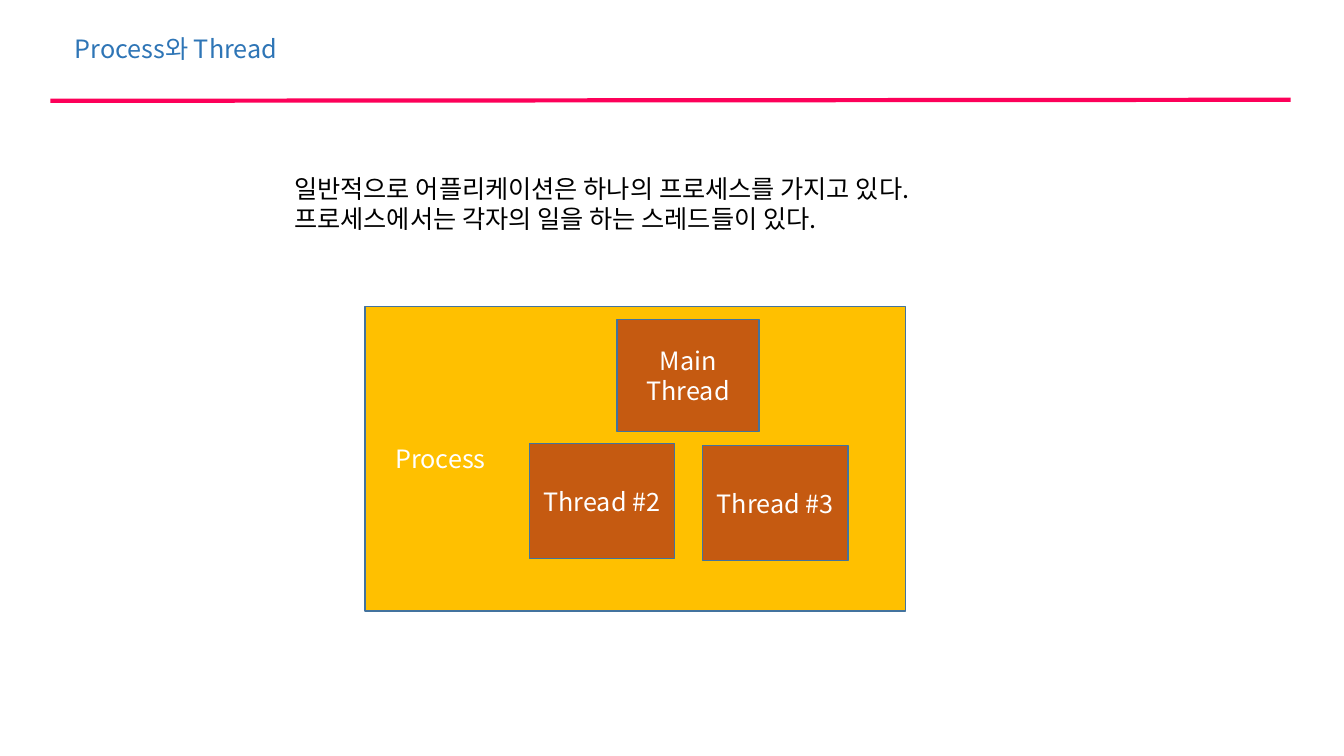
"""Build a slide that explains a process and the threads inside it."""
from lxml.etree import SubElement
from pptx import Presentation
from pptx.dml.color import RGBColor
from pptx.enum.shapes import MSO_CONNECTOR, MSO_SHAPE
from pptx.enum.text import MSO_ANCHOR, MSO_AUTO_SIZE, PP_ALIGN
from pptx.oxml.ns import qn
from pptx.util import Pt

PX = 9144
FONT = "Noto Sans CJK KR"
BLUE, PINK, BLACK, WHITE = "2E75B6", "FD0059", "000000", "FFFFFF"
GOLD, ORANGE, OUTLINE = "FFC000", "C55A11", "43739E"

HEADING = ("Process와 Thread", (64, 28, 897, 40))
EXPLANATION = (
    ["일반적으로 어플리케이션은 하나의 프로세스를 가지고 있다.",
     "프로세스에서는 각자의 일을 하는 스레드들이 있다."],
    (282, 167, 917, 71),
)
RULE = (50, 100, 1280, 99)
PROCESS = ("Process", (362, 304, 536, 302))
THREADS = [
    ("Main Thread", (612, 317, 141, 111)),
    ("Thread #2", (525, 440, 144, 114)),
    ("Thread #3", (697, 442, 144, 114)),
]


def px(*lengths):
    return [length * PX for length in lengths]


def color(value):
    return RGBColor.from_string(value)


def write(shape, lines, ink=BLACK, align=PP_ALIGN.LEFT, anchor=MSO_ANCHOR.TOP, left=10):
    frame = shape.text_frame
    frame.text = "\n".join(lines)
    frame.word_wrap = True
    frame.auto_size = MSO_AUTO_SIZE.NONE
    frame.vertical_anchor = anchor
    frame.margin_left, frame.margin_right = px(left, 10)
    frame.margin_top = frame.margin_bottom = 5 * PX
    for paragraph in frame.paragraphs:
        paragraph.alignment = align
        paragraph.line_spacing = 1.0
        for run in paragraph.runs:
            run.font.name = FONT
            run.font.size = Pt(18)
            run.font.color.rgb = color(ink)
            SubElement(run.font._element, qn("a:ea")).set("typeface", FONT)


def add_block(parent, label, box, fill, **text_format):
    block = parent.shapes.add_shape(MSO_SHAPE.RECTANGLE, *px(*box))
    block.shadow.inherit = False
    block.fill.solid()
    block.fill.fore_color.rgb = color(fill)
    block.line.color.rgb = color(OUTLINE)
    block.line.width = Pt(1)
    write(block, [label], ink=WHITE, anchor=MSO_ANCHOR.MIDDLE, **text_format)


def main():
    deck = Presentation()
    deck.slide_width, deck.slide_height = px(1333, 750)
    slide = deck.slides.add_slide(deck.slide_layouts[5])

    title, title_box = HEADING
    heading = slide.shapes.title
    heading.left, heading.top, heading.width, heading.height = px(*title_box)
    write(heading, [title], ink=BLUE)

    rule = slide.shapes.add_connector(MSO_CONNECTOR.STRAIGHT, *px(*RULE))
    rule.line.color.rgb = color(PINK)
    rule.line.width = Pt(3)
    SubElement(rule._element.spPr, qn("a:effectLst"))

    sentences, explanation_box = EXPLANATION
    write(slide.shapes.add_textbox(*px(*explanation_box)), sentences)

    diagram = slide.shapes.add_group_shape()
    add_block(diagram, *PROCESS, GOLD, left=30)
    for label, box in THREADS:
        add_block(diagram, label, box, ORANGE, align=PP_ALIGN.CENTER)

    deck.save("out.pptx")


if __name__ == "__main__":
    main()
